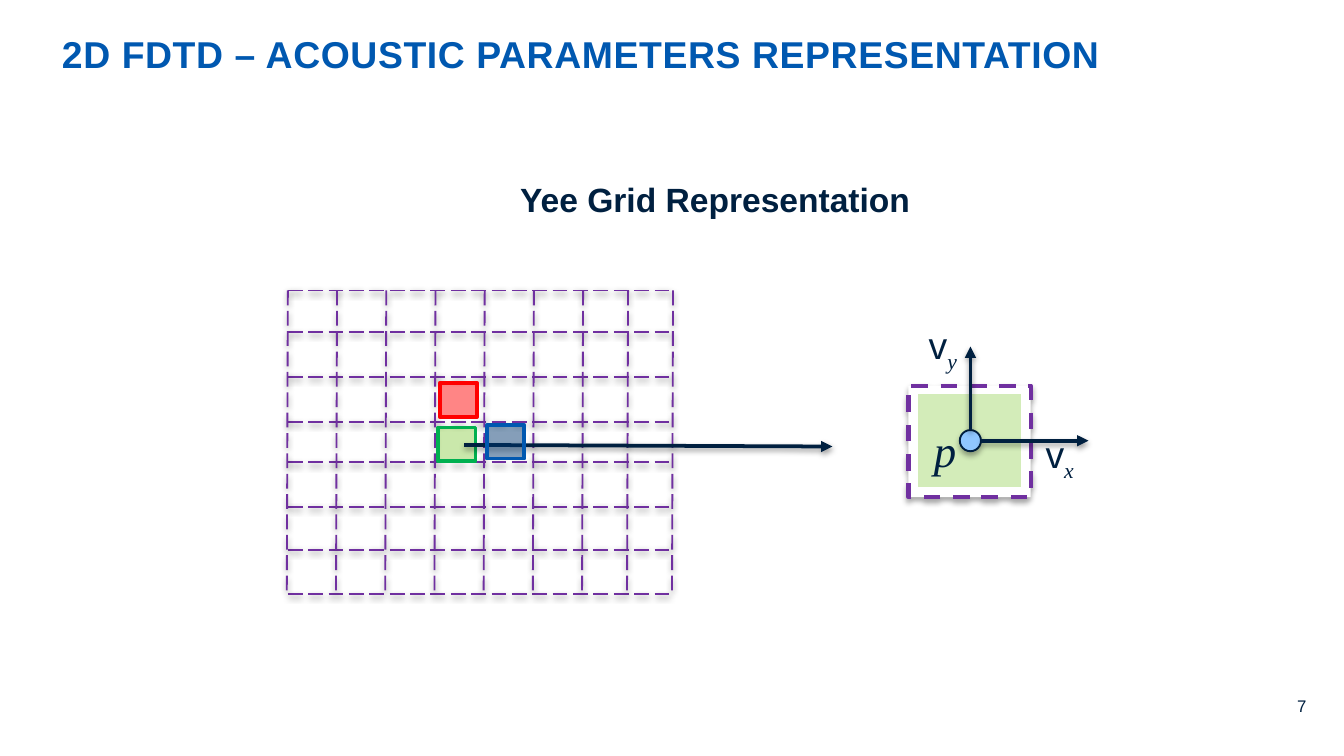
from lxml import etree
from pptx import Presentation
from pptx.dml.color import RGBColor
from pptx.enum.dml import MSO_LINE
from pptx.enum.shapes import MSO_CONNECTOR, MSO_SHAPE
from pptx.enum.text import MSO_ANCHOR, MSO_AUTO_SIZE, PP_ALIGN
from pptx.oxml.ns import qn
from pptx.util import Cm, Pt

STRAIGHT = MSO_CONNECTOR.STRAIGHT
RECTANGLE, OVAL = MSO_SHAPE.RECTANGLE, MSO_SHAPE.OVAL
DASH, LONG_DASH = MSO_LINE.DASH, MSO_LINE.LONG_DASH
LEFT, RIGHT = PP_ALIGN.LEFT, PP_ALIGN.RIGHT
TOP = MSO_ANCHOR.TOP
NO_AUTOFIT = MSO_AUTO_SIZE.NONE

WHITE = RGBColor(0xFF, 0xFF, 0xFF)
BLACK = RGBColor(0x00, 0x00, 0x00)
NAVY = RGBColor(0x00, 0x20, 0x40)
DARK_NAVY = RGBColor(0x00, 0x1F, 0x3F)
DEEP_BLUE = RGBColor(0x00, 0x36, 0x6D)
BLUE = RGBColor(0x00, 0x58, 0xB0)
SKY = RGBColor(0x90, 0xC7, 0xFF)
PURPLE = RGBColor(0x70, 0x30, 0xA0)
LIME = RGBColor(0x92, 0xD0, 0x50)
GREEN = RGBColor(0x00, 0xB0, 0x50)
RED = RGBColor(0xFF, 0x00, 0x00)

SANS, SERIF = "Arial", "Times New Roman"

COLUMN_WIDTHS = [0.93] * 6 + [0.85] * 2
ROW_HEIGHTS = [0.79, 0.84, 0.86, 0.76, 0.84, 0.81, 0.84]
COLUMN_LEAN = 0.02


def edges(sizes):
    return [sum(sizes[:count]) for count in range(len(sizes) + 1)]


def set_alpha(color_parent, percent):
    color = next(color_parent.iter(qn("a:srgbClr")))
    etree.SubElement(color, qn("a:alpha"), val=str(percent * 1000))


def set_shadow(item, opacity=0, distance=1.8):
    effects = etree.SubElement(item._element.spPr, qn("a:effectLst"))
    if opacity:
        shadow = etree.SubElement(
            effects, qn("a:outerShdw"), blurRad=str(Pt(3.1)),
            dist=str(Pt(distance)), dir="5400000", rotWithShape="0")
        etree.SubElement(shadow, qn("a:srgbClr"), val=str(BLACK))
        set_alpha(shadow, opacity)


def add_line(shapes, start, end, color, width, dash=None):
    line = shapes.add_connector(STRAIGHT, *(Cm(v) for v in (*start, *end)))
    line.line.color.rgb = color
    line.line.width = Pt(width)
    if dash:
        line.line.dash_style = dash
    return line


def add_arrow(shapes, start, end):
    arrow = add_line(shapes, start, end, NAVY, 2)
    etree.SubElement(arrow.line._get_or_add_ln(), qn("a:tailEnd"), type="triangle")
    set_shadow(arrow, 38, 1.6)


def add_figure(shapes, kind, box, fill, outline, width, alpha=None, dash=None, shadow=0):
    figure = shapes.add_shape(kind, *(Cm(v) for v in box))
    figure.fill.solid()
    figure.fill.fore_color.rgb = fill
    if alpha:
        set_alpha(figure._element.spPr, alpha)
    figure.line.color.rgb = outline
    figure.line.width = Pt(width)
    if dash:
        figure.line.dash_style = dash
    set_shadow(figure, shadow)


def add_run(paragraph, text, size, color=NAVY, font=SANS, bold=False, italic=False):
    run = paragraph.add_run()
    run.text = text
    run.font.size = Pt(size)
    run.font.color.rgb = color
    run.font.name = font
    run.font.bold = bold
    run.font.italic = italic
    return run


def add_text(shapes, box, wrap=True):
    frame = shapes.add_textbox(*(Cm(v) for v in box)).text_frame
    frame.word_wrap = wrap
    return frame


def clear_margins(frame):
    frame.margin_left = frame.margin_right = frame.margin_top = frame.margin_bottom = 0


def place_title(slide, box):
    title = slide.shapes.title
    title.left, title.top, title.width, title.height = (Cm(v) for v in box)
    frame = title.text_frame
    frame.auto_size = NO_AUTOFIT
    frame.word_wrap = True
    frame.vertical_anchor = TOP
    clear_margins(frame)
    frame.margin_top = Cm(0.12)
    paragraph = frame.paragraphs[0]
    paragraph.alignment = LEFT
    paragraph.line_spacing = Pt(21)
    run = add_run(paragraph, "2D FDTD – ACOUSTIC PARAMETERS REPRESENTATION", 20, BLUE, bold=True)
    run.font._element.set("spc", "30")


def place_heading(slide, box):
    frame = add_text(slide.shapes, box, wrap=False)
    add_run(frame.paragraphs[0], "Yee Grid Representation", 18, bold=True)


def place_grid(slide, box):
    left, top = box
    columns, rows = edges(COLUMN_WIDTHS), edges(ROW_HEIGHTS)
    right, bottom = left + columns[-1], top + rows[-1]
    grid = slide.shapes.add_group_shape().shapes
    for row in rows:
        add_line(grid, (left, top + row), (right, top + row), PURPLE, 1, LONG_DASH)
    for column in columns:
        x = left + column
        add_line(grid, (x, top), (x - COLUMN_LEAN, bottom), PURPLE, 1, LONG_DASH)

    def add_marker(x, y, fill, outline):
        add_figure(slide.shapes, RECTANGLE, (left + x, top + y, 0.71, 0.64),
                   fill, outline, 2, alpha=48)

    add_marker(2.84, 2.59, LIME, GREEN)
    add_arrow(slide.shapes, (left + 3.33, top + 2.92), (left + 10.29, top + 2.95))
    add_marker(3.76, 2.54, DEEP_BLUE, BLUE)
    add_marker(2.87, 1.75, RED, RED)


def place_cell(slide, box):
    left, top, width, height = box
    shapes = slide.shapes
    center_x, center_y, radius = left + 1.17, top + 1.04, 0.2
    add_figure(shapes, RECTANGLE, box, WHITE, PURPLE, 2.25, dash=DASH, shadow=35)
    add_figure(shapes, RECTANGLE, (left + 0.15, top + 0.13, width - 0.3, height - 0.28),
               LIME, WHITE, 2, alpha=40)
    add_figure(shapes, OVAL, (center_x - radius, center_y - radius, 2 * radius, 2 * radius),
               SKY, DARK_NAVY, 1, shadow=35)
    add_arrow(shapes, (center_x, center_y - radius), (center_x, top - 0.74))
    add_arrow(shapes, (center_x + radius, center_y), (left + 3.4, center_y))

    pressure = add_text(shapes, (left + 0.23, top + 0.58, 0.94, 1.27), wrap=False)
    add_run(pressure.paragraphs[0], "p", 24, font=SERIF, italic=True)
    for axis, x, y in (("x", 2.34, 0.74), ("y", 0.13, -1.32)):
        velocity = add_text(shapes, (left + x, top + y, 1.5, 2.13)).paragraphs[0]
        add_run(velocity, "v", 20)
        subscript = add_run(velocity, axis, 20, font=SERIF, italic=True)
        subscript.font._element.set("baseline", "-25000")


def place_page_number(slide, box):
    frame = add_text(slide.shapes, box)
    clear_margins(frame)
    frame.paragraphs[0].alignment = RIGHT
    add_run(frame.paragraphs[0], "7", 9)


def main():
    deck = Presentation()
    deck.slide_width, deck.slide_height = Cm(25.4), Cm(14.29)
    slide = deck.slides.add_slide(deck.slide_layouts[5])
    place_title(slide, (1.17, 0.58, 21.29, 1.73))
    place_page_number(slide, (23.85, 13.16, 0.84, 0.53))
    place_heading(slide, (9.58, 3.25, 7.95, 1.02))
    place_grid(slide, (5.44, 5.49))
    place_cell(slide, (17.17, 7.29, 2.31, 2.11))
    deck.save("out.pptx")


if __name__ == "__main__":
    main()
